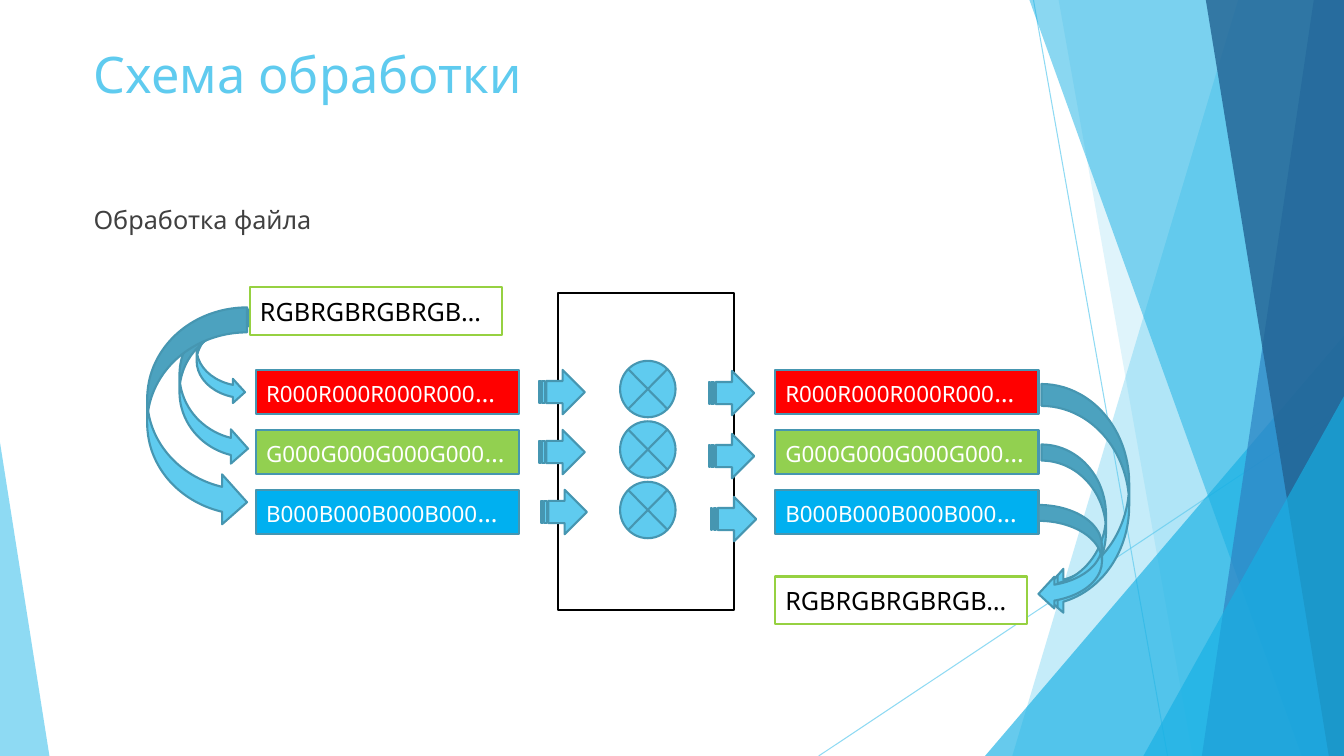
from dataclasses import dataclass

from lxml import etree
from pptx import Presentation
from pptx import util as u
from pptx.dml.color import RGBColor
from pptx.enum import shapes, text
from pptx.oxml.ns import qn

FONT = "Noto Sans"
KIND = shapes.MSO_SHAPE
COLORS = {
    "sky": "5FCBEF", "cyan": "17B0E4", "blue": "2E83C3", "navy": "226292",
    "edge": "4696B1", "lime": "96D141", "black": "000000", "white": "FFFFFF",
    "grey": "404040", "red": "FF0000", "green": "92D050", "azure": "00B0F0",
}


@dataclass
class Facet:
    """Translucent polygon of the background."""
    points: list[tuple[float, float]]
    color: str
    opacity: int


@dataclass
class Wedge:
    """Translucent right triangle of the background."""
    left: float
    top: float
    width: float
    height: float
    apex: float
    color: str
    opacity: int


@dataclass
class Block:
    """Outlined preset shape of the diagram."""
    kind: shapes.MSO_SHAPE
    left: float
    top: float
    width: float
    height: float
    fill: str = "sky"
    line: str = "edge"


@dataclass
class Span:
    """Piece of text with one look."""
    words: str
    size: int
    color: str


def rgb(name: str) -> RGBColor:
    return RGBColor.from_string(COLORS[name])


def set_opacity(shape, percent: int) -> None:
    color = next(shape._element.spPr.iter(qn("a:srgbClr")))
    etree.SubElement(color, qn("a:alpha")).set("val", str(percent * 1000))


def tint(shape, color: str, opacity: int) -> None:
    shape.shadow.inherit = False
    shape.fill.solid()
    shape.fill.fore_color.rgb = rgb(color)
    shape.line.fill.background()
    set_opacity(shape, opacity)


def draw_ray(page, start: tuple[float, float], end: tuple[float, float]) -> None:
    ray = page.shapes.add_connector(
        shapes.MSO_CONNECTOR.STRAIGHT, *map(u.Inches, start + end))
    ray.line.color.rgb = rgb("sky")
    ray.line.width = u.Pt(0.75)
    set_opacity(ray, 70)
    etree.SubElement(ray._element.spPr, qn("a:effectLst"))


def draw_facet(page, facet: Facet) -> None:
    corners = [(u.Inches(x), u.Inches(y)) for x, y in facet.points]
    outline = page.shapes.build_freeform(*corners[0])
    outline.add_line_segments(corners[1:], close=True)
    tint(outline.convert_to_shape(), facet.color, facet.opacity)


def draw_wedge(page, wedge: Wedge) -> None:
    triangle = page.shapes.add_shape(
        KIND.ISOSCELES_TRIANGLE, u.Inches(wedge.left), u.Inches(wedge.top),
        u.Inches(wedge.width), u.Inches(wedge.height))
    triangle.adjustments[0] = wedge.apex
    tint(triangle, wedge.color, wedge.opacity)


def write(box, spans: list[Span], anchor: text.MSO_ANCHOR) -> None:
    frame = box.text_frame
    frame.word_wrap = True
    frame.vertical_anchor = anchor
    para = frame.paragraphs[0]
    para.alignment = text.PP_ALIGN.LEFT
    for span in spans:
        run = para.add_run()
        run.text = span.words
        run.font.name = FONT
        run.font.size = u.Pt(span.size)
        run.font.color.rgb = rgb(span.color)


def draw_block(page, block: Block, *spans: Span) -> None:
    box = page.shapes.add_shape(
        block.kind, u.Inches(block.left), u.Inches(block.top),
        u.Inches(block.width), u.Inches(block.height))
    box.shadow.inherit = False
    box.fill.solid()
    box.fill.fore_color.rgb = rgb(block.fill)
    box.line.color.rgb = rgb(block.line)
    box.line.width = u.Pt(1.5)
    if spans:
        write(box, list(spans), text.MSO_ANCHOR.MIDDLE)


def draw_label(page, top: float, height: float, span: Span) -> None:
    box = page.shapes.add_textbox(
        u.Inches(0.83), u.Inches(top), u.Inches(11.5), u.Inches(height))
    write(box, [span], text.MSO_ANCHOR.TOP)


def right_facet(top_x: float, bottom_x: float, color: str, opacity: int) -> Facet:
    """Facet that reaches the right edge of the slide."""
    return Facet([(top_x, 0), (13.33, 0), (13.33, 7.5), (bottom_x, 7.5)],
                 color, opacity)


deck = Presentation()
deck.slide_width, deck.slide_height = u.Inches(13.33), u.Inches(7.5)
page = deck.slides.add_slide(deck.slide_layouts[6])

# Background rays and facets
draw_ray(page, (10.25, 0), (11.58, 7.5))
draw_ray(page, (13.33, 4.03), (8.12, 7.5))
for part in [
    right_facet(12.28, 10.04, "sky", 36),
    right_facet(10.5, 11.83, "sky", 20),
    Wedge(9.77, 3.33, 3.56, 4.17, 1, "cyan", 66),
    right_facet(10.21, 12.91, "cyan", 50),
    right_facet(13.03, 11.92, "blue", 70),
    right_facet(11.96, 13.18, "navy", 80),
    Wedge(11.34, 3.93, 1.99, 3.57, 1, "cyan", 66),
    Wedge(0, 4.39, 0.49, 3.11, 0, "sky", 70),
]:
    if isinstance(part, Facet):
        draw_facet(page, part)
    else:
        draw_wedge(page, part)

# Processor, title and subtitle
draw_block(page, Block(KIND.FLOWCHART_PROCESS, 5.53, 2.91, 1.75, 3.14,
                       "white", "black"))
draw_label(page, 0.38, 1.45, Span("Схема обработки", 36, "sky"))
draw_label(page, 1.98, 4.76, Span("Обработка файла", 18, "grey"))

# Mixed streams: input and output
for left, top in [(2.48, 2.85), (7.69, 5.72)]:
    draw_block(page, Block(KIND.RECTANGLE, left, top, 2.5, 0.47, "white", "lime"),
               Span("RGBRGBRGBRGB…", 18, "black"))

# Separate channels before and after processing
ROW_TOP, ROW_STEP, ROW_HEIGHT = 3.67, 0.595, 0.44
for left in (2.54, 7.69):
    for row, (letter, fill) in enumerate(zip("RGB", ("red", "green", "azure"))):
        draw_block(page, Block(KIND.RECTANGLE, left, ROW_TOP + row * ROW_STEP,
                               2.61, ROW_HEIGHT, fill),
                   Span(f"{letter}000" * 4, 16, "white"), Span("…", 18, "white"))

# Summing junctions
for row in range(3):
    draw_block(page, Block(KIND.FLOWCHART_SUMMING_JUNCTION, 6.15, 3.58 + row * 0.6,
                           0.55, 0.56))

# Curved arrows that split and merge the streams
for kind, *place in [
    (KIND.CURVED_RIGHT_ARROW, 1.95, 3.09, 0.48, 0.92),
    (KIND.CURVED_RIGHT_ARROW, 1.78, 3.07, 0.68, 1.55),
    (KIND.CURVED_RIGHT_ARROW, 1.46, 3.05, 0.99, 2.18),
    (KIND.CURVED_LEFT_ARROW, 10.33, 3.81, 0.87, 2.3),
    (KIND.CURVED_LEFT_ARROW, 10.33, 4.41, 0.64, 1.64),
    (KIND.CURVED_LEFT_ARROW, 10.3, 5.01, 0.63, 1.04),
]:
    draw_block(page, Block(kind, *place))

# Striped arrows into and out of the processor
for left, top, step in [(5.35, ROW_TOP, ROW_STEP), (7.03, 3.68, 0.625)]:
    for row, shift in enumerate((0, 0, 0.02)):
        draw_block(page, Block(KIND.STRIPED_RIGHT_ARROW, left + shift,
                               top + row * step, 0.45, ROW_HEIGHT))

deck.save("out.pptx")
